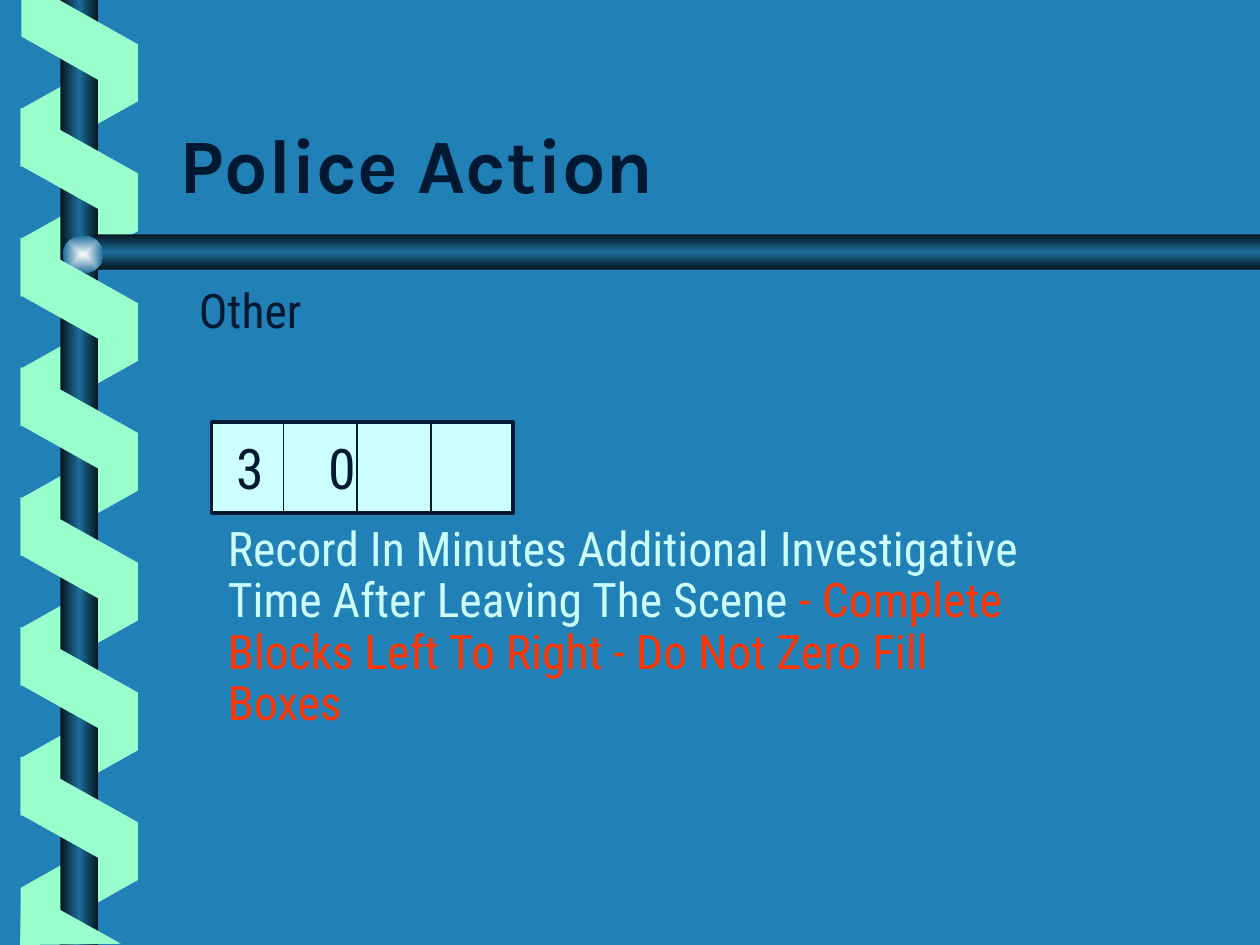
from dataclasses import dataclass

from lxml import etree
from pptx import Presentation, util as u
from pptx.dml.color import RGBColor
from pptx.enum import shapes, text
from pptx.oxml import ns


@dataclass(frozen=True)
class Theme:
    background: str = "2181B7"
    ribbon: str = "99FFCC"
    dark: str = "001932"
    pale: str = "CCFFFF"
    alert: str = "FF3300"
    bar_edge: str = "05151E"
    bar_middle: str = "1C6D9A"
    highlight: str = "FEFEFE"
    title_font: str = "Karla"
    body_font: str = "Roboto Condensed"
    title_size: float = 44
    body_size: float = 27.2
    digit_size: float = 32


@dataclass(frozen=True)
class Box:
    left: float
    top: float
    width: float
    height: float

    def lengths(self):
        return [u.Inches(value) for value in (self.left, self.top, self.width, self.height)]


@dataclass(frozen=True)
class TextRun:
    words: str
    color: str
    size: float
    font: str
    bold: bool = False


THEME = Theme()
RIBBON_PITCH = 1.03
BAR_STOPS = [(0, THEME.bar_edge), (50, THEME.bar_middle), (100, THEME.bar_edge)]
BALL_STOPS = [(0, THEME.highlight), (100, THEME.bar_middle)]


def rgb(color: str) -> RGBColor:
    return RGBColor.from_string(color)


def fill_plain(shape, color: str) -> None:
    shape.shadow.inherit = False
    shape.fill.solid()
    shape.fill.fore_color.rgb = rgb(color)
    shape.line.fill.background()


def fill_gradient(shape, stops: list, angle: int | None = None) -> None:
    fill_plain(shape, stops[0][1])
    properties = shape.element.spPr
    solid = properties.find(ns.qn("a:solidFill"))
    gradient = etree.Element(ns.qn("a:gradFill"), rotWithShape="1")
    stop_list = etree.SubElement(gradient, ns.qn("a:gsLst"))
    for position, color in stops:
        stop = etree.SubElement(stop_list, ns.qn("a:gs"), pos=str(position * 1000))
        etree.SubElement(stop, ns.qn("a:srgbClr"), val=color)
    if angle is None:
        center = etree.SubElement(gradient, ns.qn("a:path"), {"path": "rect"})
        sides = dict.fromkeys("ltrb", "50000")
        etree.SubElement(center, ns.qn("a:fillToRect"), sides)
    else:
        etree.SubElement(gradient, ns.qn("a:lin"), ang=str(angle * 60000), scaled="0")
    properties.replace(solid, gradient)


def draw_ribbons(slide, first_top: float, count: int, front: bool) -> None:
    for index in range(count):
        box = Box(0.14, first_top + RIBBON_PITCH * index, 0.98, 0.93)
        shape = slide.shapes.add_shape(shapes.MSO_SHAPE.PARALLELOGRAM, *box.lengths())
        shape.adjustments[0] = 0.56
        shape.rotation = 270 if front else 90
        if not front:
            shape.element.spPr.find(ns.qn("a:xfrm")).set("flipH", "1")
        fill_plain(shape, THEME.ribbon)


def draw_outline(slide, points: list):
    start, *others = [(u.Inches(x), u.Inches(y)) for x, y in points]
    builder = slide.shapes.build_freeform(*start)
    builder.add_line_segments(others, close=True)
    return builder.convert_to_shape()


def write_runs(shape, runs: list[TextRun], anchor, spacing: float = 1.0):
    frame = shape.text_frame
    frame.word_wrap = True
    frame.vertical_anchor = anchor
    paragraph = frame.paragraphs[0]
    paragraph.alignment = text.PP_ALIGN.LEFT
    paragraph.line_spacing = spacing
    for item in runs:
        run = paragraph.add_run()
        run.text = item.words
        run.font.name = item.font
        run.font.size = u.Pt(item.size)
        run.font.bold = item.bold
        run.font.color.rgb = rgb(item.color)
    return paragraph


def body_run(words: str, color: str) -> TextRun:
    return TextRun(words, color, THEME.body_size, THEME.body_font)


def draw_spiral(slide) -> None:
    draw_ribbons(slide, 0.37, 7, front=False)
    post = slide.shapes.add_shape(shapes.MSO_SHAPE.RECTANGLE, *Box(0.48, 0, 0.3, 7.5).lengths())
    fill_gradient(post, BAR_STOPS, 180)
    rail = draw_outline(slide, [(10, 1.86), (0.76, 1.86), (0.6, 2), (0.76, 2.14), (10, 2.14)])
    fill_gradient(rail, BAR_STOPS, 90)
    ball = slide.shapes.add_shape(shapes.MSO_SHAPE.OVAL, *Box(0.5, 1.87, 0.32, 0.3).lengths())
    fill_gradient(ball, BALL_STOPS)
    draw_ribbons(slide, 0.88, 6, front=True)
    top_end = [(0.17, 0), (0.17, 0.29), (1.09, 0.81), (1.09, 0.35), (0.47, 0)]
    bottom_end = [(0.96, 7.49), (0.17, 7.05), (0.16, 7.5)]
    for points in (top_end, bottom_end):
        fill_plain(draw_outline(slide, points), THEME.ribbon)


def draw_text(slide, box: Box, runs: list[TextRun], anchor, spacing: float = 1.0) -> None:
    write_runs(slide.shapes.add_textbox(*box.lengths()), runs, anchor, spacing)


def draw_minute_boxes(slide) -> None:
    box = Box(1.68, 3.35, 2.39, 0.72)
    shape = slide.shapes.add_shape(shapes.MSO_SHAPE.RECTANGLE, *box.lengths())
    fill_plain(shape, THEME.pale)
    shape.line.color.rgb = rgb(THEME.dark)
    shape.line.width = u.Pt(2)
    digits = TextRun("3\t0", THEME.dark, THEME.digit_size, THEME.body_font)
    paragraph = write_runs(shape, [digits], text.MSO_ANCHOR.MIDDLE)
    shape.text_frame.margin_left = u.Inches(0.2)
    properties = paragraph._p.get_or_add_pPr()
    tabs = etree.SubElement(properties, ns.qn("a:tabLst"))
    etree.SubElement(tabs, ns.qn("a:tab"), pos=str(u.Inches(0.73)), algn="l")
    for index in range(3):
        x = u.Inches(2.25 + 0.585 * index)
        divider = slide.shapes.add_connector(
            shapes.MSO_CONNECTOR.STRAIGHT, x, u.Inches(4.09), x, u.Inches(3.33))
        divider.line.color.rgb = rgb(THEME.dark)
        divider.line.width = u.Pt(1)
        etree.SubElement(divider.element.spPr, ns.qn("a:effectLst"))


def main() -> None:
    presentation = Presentation()
    presentation.slide_width = u.Inches(10)
    presentation.slide_height = u.Inches(7.5)
    slide = presentation.slides.add_slide(presentation.slide_layouts[6])
    slide.background.fill.solid()
    slide.background.fill.fore_color.rgb = rgb(THEME.background)

    draw_spiral(slide)
    title = TextRun("Police Action", THEME.dark, THEME.title_size, THEME.title_font, True)
    draw_text(slide, Box(1.33, 0.46, 8.5, 1.25), [title], text.MSO_ANCHOR.BOTTOM)
    top = text.MSO_ANCHOR.TOP
    draw_text(slide, Box(1.48, 2.23, 6.85, 0.6), [body_run("Other", THEME.dark)], top, 0.9)
    instructions = [
        body_run("Record In Minutes Additional Investigative Time After Leaving The Scene",
                 THEME.pale),
        body_run(" - Complete Blocks Left To Right - Do Not Zero Fill Boxes", THEME.alert),
    ]
    draw_text(slide, Box(1.71, 4.12, 6.62, 1.8), instructions, top, 0.9)
    draw_minute_boxes(slide)
    presentation.save("out.pptx")


if __name__ == "__main__":
    main()
